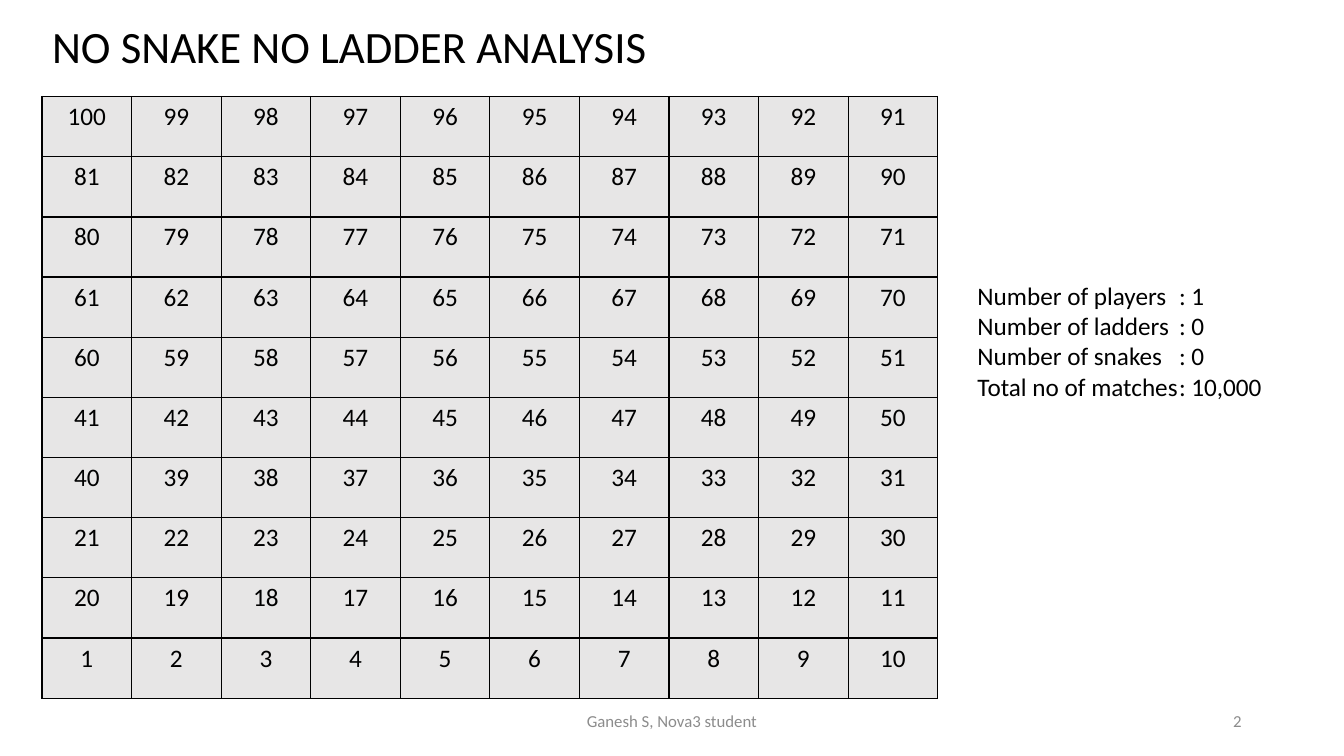
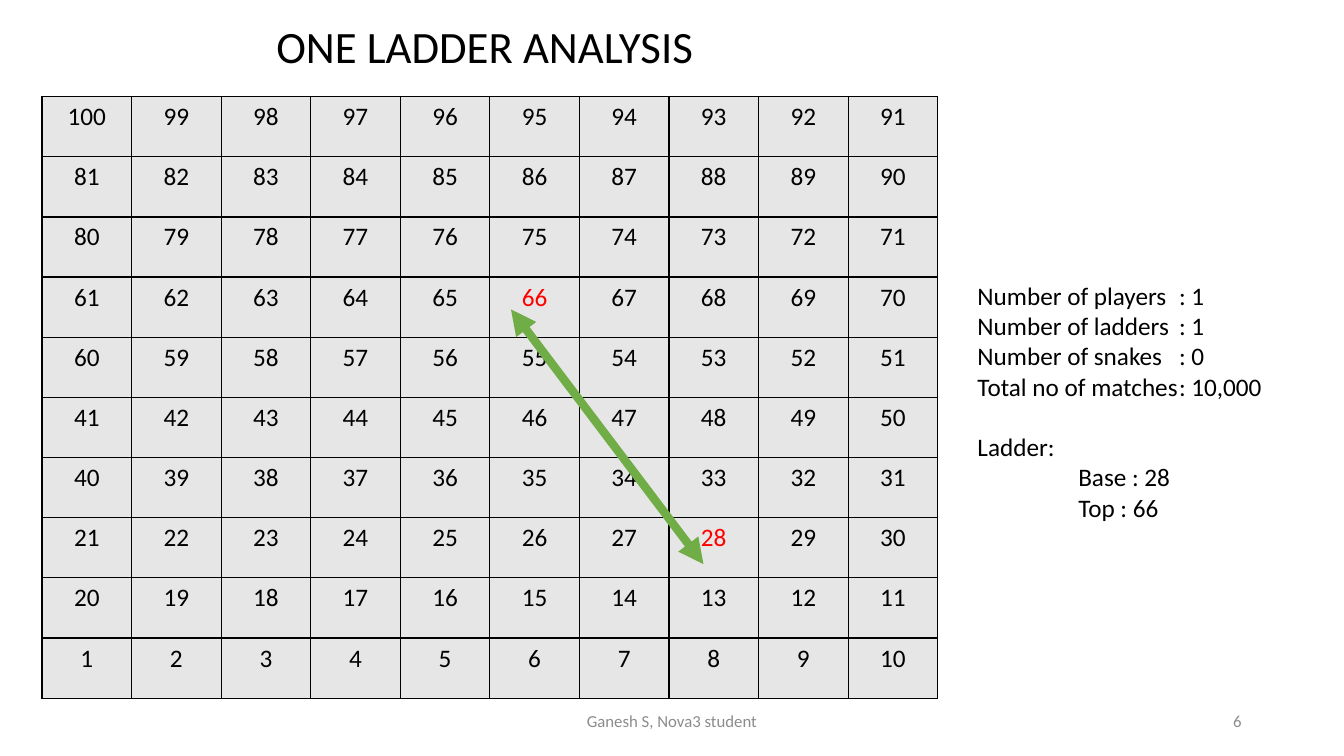
"""Build two board game analysis slides with a numbered board and its settings."""

from dataclasses import dataclass
from typing import Optional

from lxml.etree import SubElement
from pptx import Presentation
from pptx.dml.color import RGBColor
from pptx.enum.shapes import MSO_CONNECTOR
from pptx.enum.text import MSO_ANCHOR, MSO_AUTO_SIZE, PP_ALIGN
from pptx.oxml.ns import qn
from pptx.slide import Slide
from pptx.text.text import TextFrame, _Paragraph
from pptx.util import Pt

COLORS = {
    "text": "000000",
    "cell": "E7E6E6",
    "border": "000000",
    "highlight": "FF0000",
    "ladder": "70AD47",
    "footer": "8C8C8C",
}
FONT = "Calibri"
FOOTER = "Ganesh S, Nova3 student"
BOARD_SIZE = 10
COLUMN_WIDTH = 64
ROW_HEIGHT = 43
COLON_TAB = 146.5


@dataclass(frozen=True)
class Area:
    left: float
    top: float
    width: float
    height: float


@dataclass(frozen=True)
class Fact:
    text: str
    indent: float = 0
    space_before: float = 0


@dataclass(frozen=True)
class Ladder:
    base: int
    top: int
    start: tuple[float, float]
    end: tuple[float, float]


@dataclass(frozen=True)
class Analysis:
    title: str
    alignment: PP_ALIGN
    number: int
    ladder: Optional[Ladder] = None


TITLE_AREA = Area(30, 10, 640, 46)
BOARD_AREA = Area(30, 69, COLUMN_WIDTH * BOARD_SIZE, ROW_HEIGHT * BOARD_SIZE)
FACTS_AREA = Area(691, 196.5, 247, 182)
FOOTER_AREA = Area(318, 500.5, 324, 28.75)
NUMBER_AREA = Area(678, 500.5, 216, 28.75)

ANALYSES = [
    Analysis("NO SNAKE NO LADDER ANALYSIS", PP_ALIGN.LEFT, 2),
    Analysis("ONE LADDER ANALYSIS ", PP_ALIGN.CENTER, 6,
             Ladder(28, 66, (502.5, 403), (365, 221))),
]


def color(name: str) -> RGBColor:
    return RGBColor.from_string(COLORS[name])


def place(shape, area: Area) -> None:
    shape.left, shape.top = Pt(area.left), Pt(area.top)
    shape.width, shape.height = Pt(area.width), Pt(area.height)


def add_span(para: _Paragraph, text: str, size: float, color_name: str = "text") -> None:
    span = para.add_run()
    span.text = text
    span.font.name = FONT
    span.font.size = Pt(size)
    span.font.color.rgb = color(color_name)


def prepare_frame(frame: TextFrame, anchor: MSO_ANCHOR) -> None:
    frame.word_wrap = True
    frame.auto_size = MSO_AUTO_SIZE.NONE
    frame.vertical_anchor = anchor


def add_title(page: Slide, analysis: Analysis) -> None:
    title = page.shapes.title
    place(title, TITLE_AREA)
    prepare_frame(title.text_frame, MSO_ANCHOR.TOP)
    para = title.text_frame.paragraphs[0]
    para.alignment = analysis.alignment
    add_span(para, analysis.title, 32)


def board_number(row: int, column: int) -> int:
    level = BOARD_SIZE - 1 - row
    step = BOARD_SIZE - 1 - column if level % 2 else column
    return level * BOARD_SIZE + step + 1


def add_borders(cell) -> None:
    properties = cell._tc.get_or_add_tcPr()
    for side in ("a:lnL", "a:lnR", "a:lnT", "a:lnB"):
        line = SubElement(properties, qn(side), w=str(Pt(1)))
        fill = SubElement(line, qn("a:solidFill"))
        SubElement(fill, qn("a:srgbClr"), val=COLORS["border"])


def add_board(page: Slide, ladder: Optional[Ladder]) -> None:
    frame = page.shapes.add_table(
        BOARD_SIZE, BOARD_SIZE, Pt(BOARD_AREA.left), Pt(BOARD_AREA.top),
        Pt(BOARD_AREA.width), Pt(BOARD_AREA.height))
    board = frame.table
    board.first_row = board.horz_banding = False
    highlighted = {ladder.base, ladder.top} if ladder else set()
    for row in range(BOARD_SIZE):
        for column in range(BOARD_SIZE):
            cell = board.cell(row, column)
            add_borders(cell)
            cell.fill.solid()
            cell.fill.fore_color.rgb = color("cell")
            number = board_number(row, column)
            para = cell.text_frame.paragraphs[0]
            para.alignment = PP_ALIGN.CENTER
            add_span(para, str(number), 18,
                     "highlight" if number in highlighted else "text")


def list_facts(ladder: Optional[Ladder]) -> list[Fact]:
    facts = [
        Fact("Number of players\t: 1"),
        Fact(f"Number of ladders\t: {1 if ladder else 0}"),
        Fact("Number of snakes\t: 0"),
        Fact("Total no of matches\t: 10,000"),
    ]
    if ladder:
        facts += [
            Fact("Ladder:", space_before=21.6),
            Fact(f"Base : {ladder.base}", indent=72),
            Fact(f"Top : {ladder.top}", indent=72),
        ]
    return facts


def add_facts(page: Slide, facts: list[Fact]) -> None:
    body = page.placeholders[1]
    place(body, FACTS_AREA)
    frame = body.text_frame
    prepare_frame(frame, MSO_ANCHOR.TOP)
    for index, fact in enumerate(facts):
        para = frame.add_paragraph() if index else frame.paragraphs[0]
        para.space_before = Pt(fact.space_before)
        properties = para._p.get_or_add_pPr()
        properties.set("marL", str(Pt(fact.indent)))
        properties.set("indent", "0")
        SubElement(properties, qn("a:buNone"))
        tabs = SubElement(properties, qn("a:tabLst"))
        SubElement(tabs, qn("a:tab"), pos=str(Pt(COLON_TAB)), algn="l")
        add_span(para, fact.text, 18)


def add_ladder(page: Slide, ladder: Ladder) -> None:
    points = [Pt(value) for value in ladder.start + ladder.end]
    arrow = page.shapes.add_connector(MSO_CONNECTOR.STRAIGHT, *points)
    arrow.line.color.rgb = color("ladder")
    arrow.line.width = Pt(6)
    properties = arrow.element.spPr
    line = properties.find(qn("a:ln"))
    for end in ("a:headEnd", "a:tailEnd"):
        SubElement(line, qn(end), type="triangle")
    SubElement(properties, qn("a:effectLst"))


def add_footer_text(page: Slide, area: Area, text: str, alignment: PP_ALIGN) -> None:
    box = page.shapes.add_textbox(
        Pt(area.left), Pt(area.top), Pt(area.width), Pt(area.height))
    prepare_frame(box.text_frame, MSO_ANCHOR.MIDDLE)
    para = box.text_frame.paragraphs[0]
    para.alignment = alignment
    add_span(para, text, 12, "footer")


def add_page(deck, analysis: Analysis) -> None:
    page = deck.slides.add_slide(deck.slide_layouts[1])
    add_title(page, analysis)
    add_board(page, analysis.ladder)
    if analysis.ladder:
        add_ladder(page, analysis.ladder)
    add_facts(page, list_facts(analysis.ladder))
    add_footer_text(page, FOOTER_AREA, FOOTER, PP_ALIGN.CENTER)
    add_footer_text(page, NUMBER_AREA, str(analysis.number), PP_ALIGN.RIGHT)


def main() -> None:
    deck = Presentation()
    deck.slide_width, deck.slide_height = Pt(960), Pt(540)
    for analysis in ANALYSES:
        add_page(deck, analysis)
    deck.save("out.pptx")


if __name__ == "__main__":
    main()
